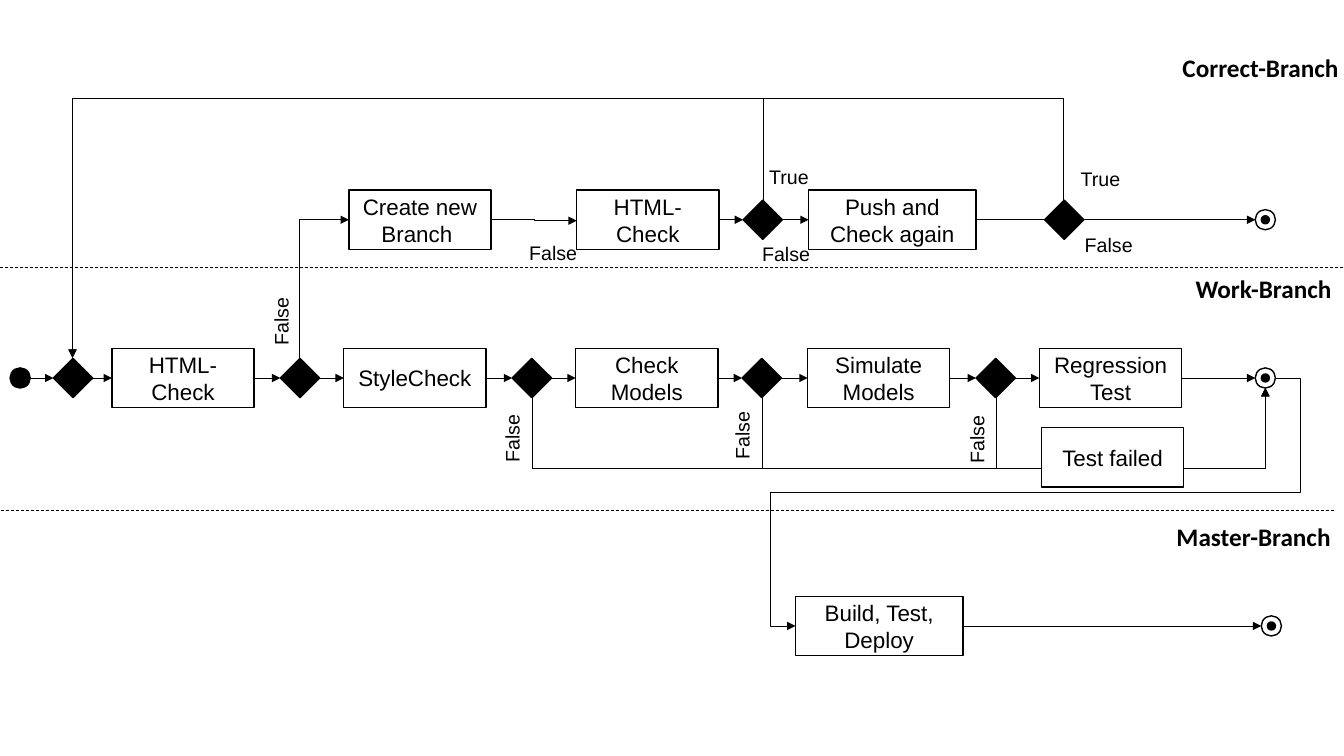
from lxml import etree
from pptx import Presentation
from pptx import util as u
from pptx.dml import color
from pptx.enum import dml, shapes, text
from pptx.oxml import ns

BLACK, WHITE = "000000", "FFFFFF"
BOX_WIDTH, BOX_HEIGHT = 1.41, 0.59
DIAMOND = 0.39
STATE, DOT = 0.2, 0.08
WORK_AXIS, CORRECT_AXIS, MASTER_AXIS = 3.75, 2.18, 6.21
LEFT_SIDE, RIGHT_SIDE = 1, 3


def rgb(hex_string):
    return color.RGBColor.from_string(hex_string)


def add_text(frame, words, size, font, bold=False):
    para = frame.paragraphs[0]
    span = para.add_run()
    span.text = words
    span.font.size = u.Pt(size)
    span.font.name = font
    span.font.bold = bold
    span.font.color.rgb = rgb(BLACK)
    return para


def add_node(place, kind, left, top, width, height, fill):
    node = place.add_shape(kind, *map(u.Inches, (left, top, width, height)))
    node.shadow.inherit = False
    node.fill.solid()
    node.fill.fore_color.rgb = rgb(fill)
    node.line.color.rgb = rgb(BLACK)
    node.line.width = u.Pt(1)
    return node


def add_box(place, words, left, top, width=BOX_WIDTH):
    box = add_node(place, shapes.MSO_SHAPE.RECTANGLE, left, top, width, BOX_HEIGHT, WHITE)
    box.text_frame.word_wrap = True
    box.text_frame.vertical_anchor = text.MSO_ANCHOR.MIDDLE
    add_text(box.text_frame, words, 16, "Arial").alignment = text.PP_ALIGN.CENTER
    return box


def add_diamond(place, left, axis):
    return add_node(place, shapes.MSO_SHAPE.DIAMOND, left, axis - DIAMOND / 2,
                    DIAMOND, DIAMOND, BLACK)


def add_circle(place, left, axis, size, fill):
    return add_node(place, shapes.MSO_SHAPE.OVAL, left, axis - size / 2, size, size, fill)


def add_end_state(place, left, axis):
    marker = place.add_group_shape().shapes
    ring = add_circle(marker, left, axis, STATE, WHITE)
    add_circle(marker, left + (STATE - DOT) / 2, axis, DOT, BLACK)
    return ring


def add_label(place, words, left, top, width, height=0.34, size=14, font="Arial",
              bold=False, rotation=0):
    label = place.add_textbox(*map(u.Inches, (left, top, width, height)))
    label.text_frame.word_wrap = False
    label.text_frame.auto_size = text.MSO_AUTO_SIZE.SHAPE_TO_FIT_TEXT
    add_text(label.text_frame, words, size, font, bold)
    label.rotation = rotation


def style_line(line, arrow=True):
    line.line.color.rgb = rgb(BLACK)
    line.line.width = u.Pt(0.5)
    if arrow:
        etree.SubElement(line.line._get_or_add_ln(), ns.qn("a:tailEnd"), type="triangle")
    etree.SubElement(line.element.spPr, ns.qn("a:effectLst"))


def add_arrow(place, source, target):
    line = place.add_connector(
        shapes.MSO_CONNECTOR.STRAIGHT,
        source.left + source.width, source.top + source.height // 2,
        target.left, target.top + target.height // 2)
    if source.auto_shape_type != shapes.MSO_SHAPE.OVAL:
        line.begin_connect(source, RIGHT_SIDE)
    if target.auto_shape_type != shapes.MSO_SHAPE.OVAL:
        line.end_connect(target, LEFT_SIDE)
    style_line(line)


def add_elbow(place, start, end, preset="bentConnector3", bends=(0.5,)):
    line = place.add_connector(shapes.MSO_CONNECTOR.ELBOW, *map(u.Inches, start + end))
    geometry = line.element.spPr.find(ns.qn("a:prstGeom"))
    geometry.set("prst", preset)
    guides = geometry.find(ns.qn("a:avLst"))
    if guides is None:
        guides = etree.SubElement(geometry, ns.qn("a:avLst"))
    for number, bend in enumerate(bends, 1):
        etree.SubElement(guides, ns.qn("a:gd"), name=f"adj{number}",
                         fmla=f"val {round(bend * 100000)}")
    style_line(line)
    return line


def add_upright_elbow(place, start, end, turn=None):
    (x1, y1), (x2, y2) = start, end
    middle_x, middle_y = (x1 + x2) / 2, (y1 + y2) / 2
    half_width, half_height = abs(y2 - y1) / 2, abs(x2 - x1) / 2
    preset, bends = "bentConnector2", ()
    if turn is not None:
        preset, bends = "bentConnector3", ((turn - y1) / (y2 - y1),)
    line = add_elbow(place, (middle_x + half_width, middle_y + half_height),
                     (middle_x - half_width, middle_y - half_height), preset, bends)
    degrees = 90 if x1 < x2 else 270
    line.element.spPr.find(ns.qn("a:xfrm")).set("rot", str(degrees * 60000))


def add_lanes(page):
    for left, height in ((0, 2.65), (-0.09, 5.06)):
        border = page.add_connector(shapes.MSO_CONNECTOR.STRAIGHT,
                                    *map(u.Inches, (left, height, left + 13.33, height)))
        border.line.dash_style = dml.MSO_LINE.DASH
        style_line(border, arrow=False)
    for words, left, top, width in (("Work-Branch", 11.76, 2.66, 1.57),
                                    ("Correct-Branch", 11.63, 0.47, 1.77),
                                    ("Master-Branch", 11.57, 5.12, 1.75)):
        add_label(page, words, left, top, width, 0.4, 18, "Calibri", True)


def add_work_branch(page):
    start = add_circle(page, 0.1, WORK_AXIS, STATE, BLACK)
    entry = add_diamond(page, 0.53, WORK_AXIS)
    chain = page.add_group_shape().shapes
    steps = ("HTML-Check", "StyleCheck", "Check Models", "Simulate Models", "Regression Test")
    boxes = [add_box(chain, words, 1.11 + 2.3 * index, WORK_AXIS - BOX_HEIGHT / 2)
             for index, words in enumerate(steps)]
    checks = [add_diamond(chain, left, WORK_AXIS) for left in (2.78, 5.08, 7.36, 9.68)]
    for box, check, following in zip(boxes, checks, boxes[1:]):
        add_arrow(chain, box, check)
        add_arrow(chain, check, following)
    add_arrow(page, start, entry)
    add_arrow(page, entry, boxes[0])
    add_arrow(page, boxes[-1], add_end_state(page, 12.45, WORK_AXIS))
    for middle in (5.28, 7.56, 9.88):
        add_upright_elbow(page, (middle, 3.95), (12.55, 3.85), 4.65)
    add_box(page, "Test failed", 10.33, 4.24)


def add_correct_branch(page):
    top = CORRECT_AXIS - BOX_HEIGHT / 2
    add_box(page, "Create new Branch ", 3.46, top)
    check = add_box(page, "HTML-Check", 5.72, top)
    push = add_box(page, "Push and Check again", 8.02, top, 1.66)
    decision = add_diamond(page, 7.37, CORRECT_AXIS)
    add_arrow(page, check, decision)
    add_arrow(page, decision, push)
    add_arrow(page, push, add_end_state(page, 12.45, CORRECT_AXIS))
    add_diamond(page, 10.36, CORRECT_AXIS)
    add_upright_elbow(page, (2.97, 3.55), (3.46, CORRECT_AXIS))
    add_elbow(page, (4.87, CORRECT_AXIS), (5.72, 2.19))
    for middle in (7.57, 10.55):
        add_upright_elbow(page, (middle, 1.98), (0.72, 3.55), 0.98)


def add_master_branch(page):
    build = add_box(page, "Build, Test, Deploy", 7.89, MASTER_AXIS - BOX_HEIGHT / 2, 1.66)
    add_arrow(page, build, add_end_state(page, 12.51, MASTER_AXIS))
    add_elbow(page, (12.65, WORK_AXIS), (7.89, MASTER_AXIS),
              "bentConnector5", (-0.053, 0.46, 1.053))


def add_outcomes(page):
    for left, top in ((2.45, 3.02), (4.74, 4.18), (7.02, 4.15), (9.35, 4.19)):
        add_label(page, "False", left, top, 0.68, rotation=270)
    for left, top in ((5.15, 2.34), (7.46, 2.35), (10.66, 2.26)):
        add_label(page, "False", left, top, 0.68)
    for left, top in ((7.53, 1.59), (10.62, 1.61)):
        add_label(page, "True", left, top, 0.6)


def main():
    deck = Presentation()
    deck.slide_width, deck.slide_height = u.Inches(13.33), u.Inches(7.5)
    page = deck.slides.add_slide(deck.slide_layouts[6]).shapes
    add_lanes(page)
    add_work_branch(page)
    add_correct_branch(page)
    add_master_branch(page)
    add_outcomes(page)
    deck.save("out.pptx")


if __name__ == "__main__":
    main()
